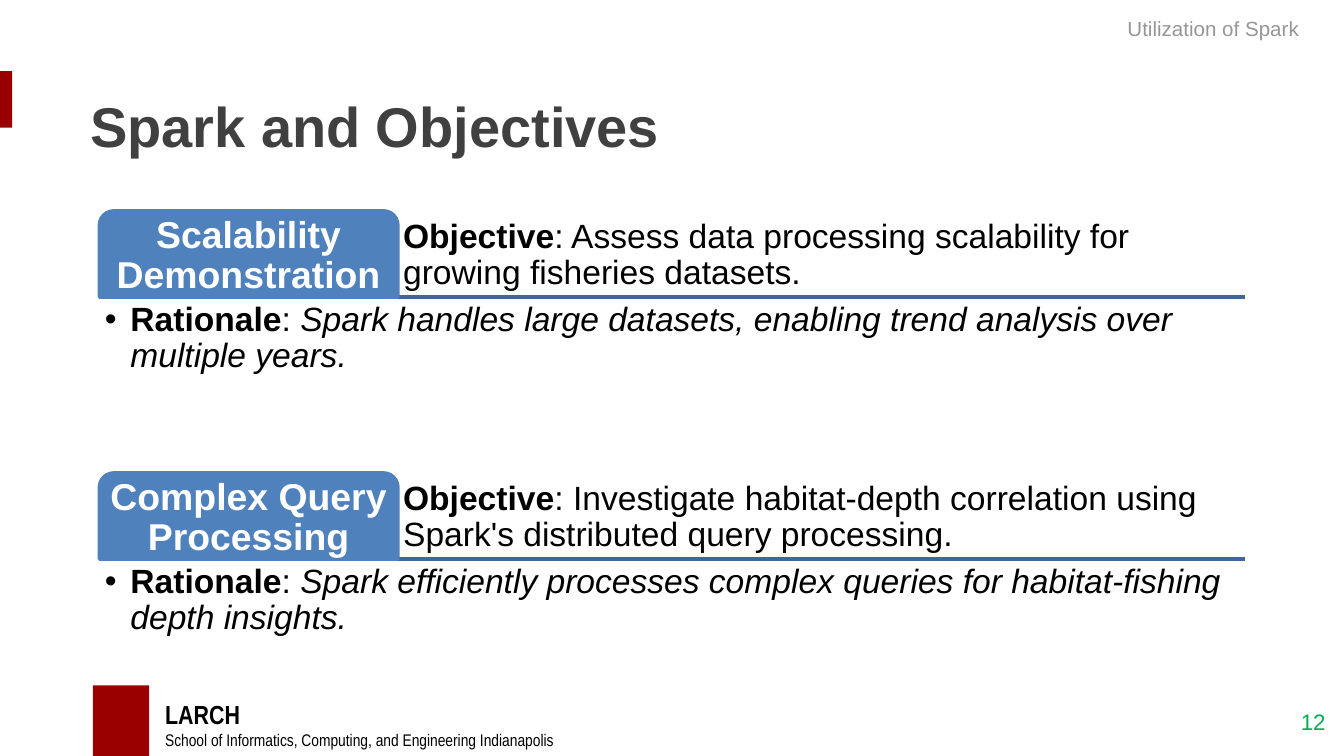
import dataclasses

import lxml.etree
import pptx
import pptx.dml.color
import pptx.enum.shapes
import pptx.enum.text
import pptx.oxml.ns
import pptx.util

Inches = pptx.util.Inches
Shape = pptx.enum.shapes.MSO_SHAPE
Anchor = pptx.enum.text.MSO_ANCHOR
Align = pptx.enum.text.PP_ALIGN


@dataclasses.dataclass(frozen=True)
class Theme:
    font: str = "Arial"
    narrow_font: str = "Arial Narrow"
    crimson: str = "990000"
    blue: str = "4F81BD"
    rule: str = "3F6797"
    title: str = "404041"
    muted: str = "969696"
    green: str = "00B050"
    black: str = "000000"
    white: str = "FFFFFF"
    title_size: int = 30
    tab_size: int = 20
    body_size: int = 18
    brand_size: int = 14
    number_size: int = 12
    header_size: int = 11
    school_size: int = 9


THEME = Theme()
WIDTH = 10
HEIGHT = WIDTH * 9 / 16
LEFT, RIGHT = 0.74, 9.26
TAB_WIDTH, TAB_HEIGHT = 2.22, 0.64
FIRST_ROW, ROW_PITCH = 1.57, 1.95
DETAIL_HEIGHT = 1.28
INSET = 0.04

GOALS = [
    ("Scalability Demonstration",
     "Assess data processing scalability for growing fisheries datasets.",
     "Spark handles large datasets, enabling trend analysis over multiple years."),
    ("Complex Query Processing",
     "Investigate habitat-depth correlation using Spark's distributed query processing.",
     "Spark efficiently processes complex queries for habitat-fishing depth insights."),
]


def rgb(color):
    return pptx.dml.color.RGBColor.from_string(color)


def add_span(para, text, size, color, bold=False, italic=False, font=THEME.font):
    span = para.add_run()
    span.text = text
    span.font.name = font
    span.font.size = pptx.util.Pt(size)
    span.font.color.rgb = rgb(color)
    span.font.bold = bold
    span.font.italic = italic


def set_frame(frame, anchor, inset=None):
    frame.word_wrap = True
    frame.auto_size = pptx.enum.text.MSO_AUTO_SIZE.NONE
    frame.vertical_anchor = anchor
    if inset is not None:
        frame.margin_left = frame.margin_right = Inches(inset)
        frame.margin_top = frame.margin_bottom = Inches(inset)


def add_text_box(page, left, top, width, height, anchor=Anchor.TOP, inset=None):
    box = page.shapes.add_textbox(*map(Inches, (left, top, width, height)))
    set_frame(box.text_frame, anchor, inset)
    return box.text_frame


def add_block(page, kind, left, top, width, height, color):
    block = page.shapes.add_shape(kind, *map(Inches, (left, top, width, height)))
    block.shadow.inherit = False
    block.fill.solid()
    block.fill.fore_color.rgb = rgb(color)
    block.line.fill.background()
    return block


def add_rule(page, y):
    rule = page.shapes.add_connector(
        pptx.enum.shapes.MSO_CONNECTOR.STRAIGHT,
        *map(Inches, (LEFT, y, RIGHT, y)))
    rule.line.color.rgb = rgb(THEME.rule)
    rule.line.width = pptx.util.Pt(2)
    lxml.etree.SubElement(rule.element.spPr, pptx.oxml.ns.qn("a:effectLst"))


def add_bullet(para, indent):
    properties = para._p.get_or_add_pPr()
    properties.set("marL", str(Inches(indent)))
    properties.set("indent", str(-Inches(indent)))
    bullet_font = lxml.etree.SubElement(properties, pptx.oxml.ns.qn("a:buFont"))
    bullet_font.set("typeface", THEME.font)
    bullet = lxml.etree.SubElement(properties, pptx.oxml.ns.qn("a:buChar"))
    bullet.set("char", "•")


def add_labelled_text(frame, label, text, italic=False):
    para = frame.paragraphs[0]
    para.line_spacing = 0.9
    add_span(para, label, THEME.body_size, THEME.black, bold=True)
    add_span(para, ": ", THEME.body_size, THEME.black)
    add_span(para, text, THEME.body_size, THEME.black, italic=italic)
    return para


def add_tab(page, top, name):
    tab = add_block(page, Shape.ROUND_2_SAME_RECTANGLE,
                    LEFT, top, TAB_WIDTH, TAB_HEIGHT, THEME.blue)
    tab.line.color.rgb = rgb(THEME.blue)
    tab.line.width = pptx.util.Pt(2)
    set_frame(tab.text_frame, Anchor.MIDDLE, INSET)
    para = tab.text_frame.paragraphs[0]
    para.alignment = Align.CENTER
    para.line_spacing = 0.9
    add_span(para, name, THEME.tab_size, THEME.white, bold=True)


def add_goal(page, top, name, objective, rationale):
    """Add a tab with its objective above a rule and the rationale below it."""
    baseline = top + TAB_HEIGHT
    tab_right = LEFT + TAB_WIDTH
    add_rule(page, baseline)
    summary = add_text_box(page, tab_right, top, RIGHT - tab_right, TAB_HEIGHT,
                           Anchor.BOTTOM, INSET)
    add_labelled_text(summary, "Objective", objective)
    add_tab(page, top, name)
    detail = add_text_box(page, LEFT, baseline, RIGHT - LEFT, DETAIL_HEIGHT,
                          inset=INSET)
    add_bullet(add_labelled_text(detail, "Rationale", rationale, italic=True), 0.19)


def set_title(page, text):
    title = page.shapes.title
    title.left, title.top, title.width, title.height = map(
        Inches, (0.57, 0.51, 4.99, 0.85))
    set_frame(title.text_frame, Anchor.MIDDLE)
    para = title.text_frame.paragraphs[0]
    para.alignment = Align.LEFT
    add_span(para, text, THEME.title_size, THEME.title, bold=True)


def add_header(page, text):
    frame = add_text_box(page, 8.29, 0.07, WIDTH - 8.29, 0.39)
    add_span(frame.paragraphs[0], text, THEME.header_size, THEME.muted)


def add_footer(page, brand, school, number):
    add_block(page, Shape.RECTANGLE, 0.69, 5.1, 0.42, HEIGHT - 5.1, THEME.crimson)
    frame = add_text_box(page, 1.13, 5.14, 3.95, 0.49, Anchor.MIDDLE)
    add_span(frame.paragraphs[0], brand, THEME.brand_size, THEME.black,
             bold=True, font=THEME.narrow_font)
    add_span(frame.add_paragraph(), school, THEME.school_size, THEME.black,
             font=THEME.narrow_font)
    frame = add_text_box(page, 9.58, 5.22, 0.42, 0.3)
    frame.word_wrap = False
    add_span(frame.paragraphs[0], number, THEME.number_size, THEME.green)


def main():
    deck = pptx.Presentation()
    deck.slide_width, deck.slide_height = Inches(WIDTH), Inches(HEIGHT)
    page = deck.slides.add_slide(deck.slide_layouts.get_by_name("Title Only"))
    add_block(page, Shape.RECTANGLE, 0, 0.53, 0.09, 0.42, THEME.crimson)
    add_footer(page, "LARCH",
               "School of Informatics, Computing, and Engineering Indianapolis", "12")
    add_header(page, "Utilization of Spark")
    set_title(page, "Spark and Objectives")
    for row, goal in enumerate(GOALS):
        add_goal(page, FIRST_ROW + row * ROW_PITCH, *goal)
    deck.save("out.pptx")


if __name__ == "__main__":
    main()
